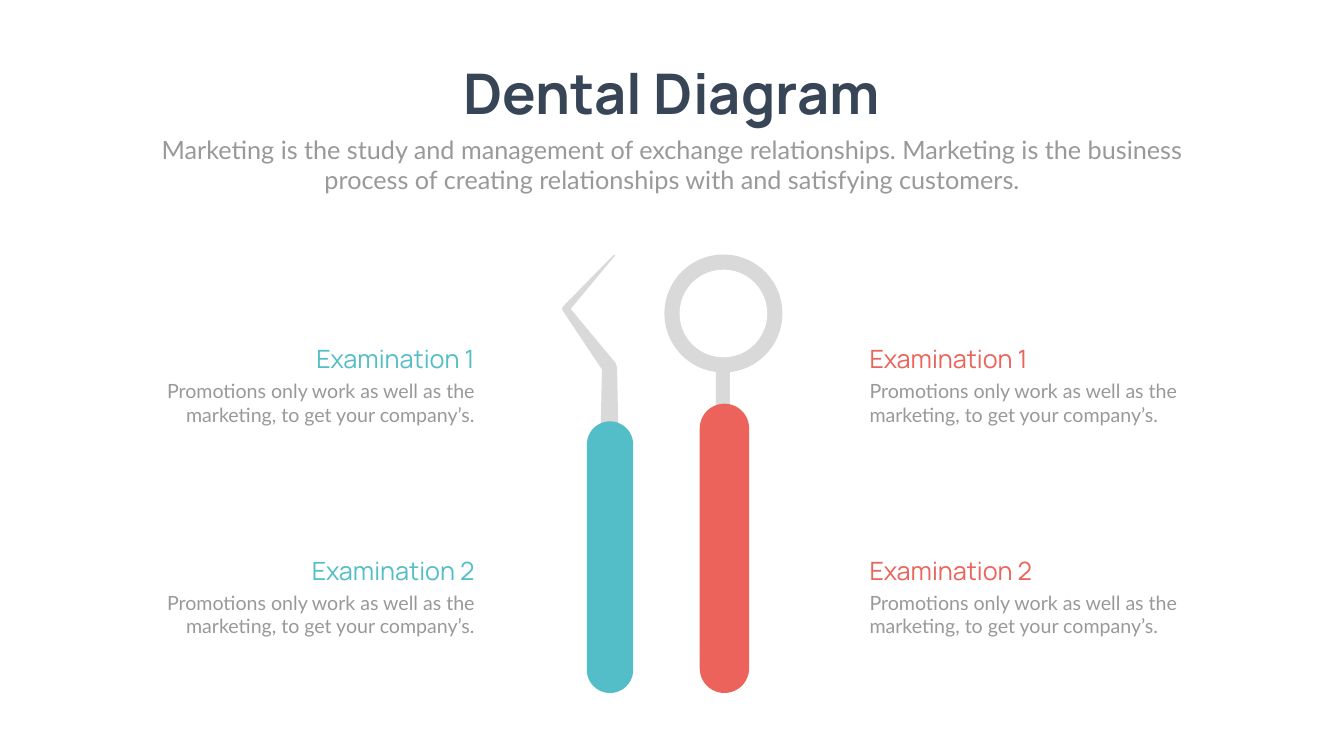
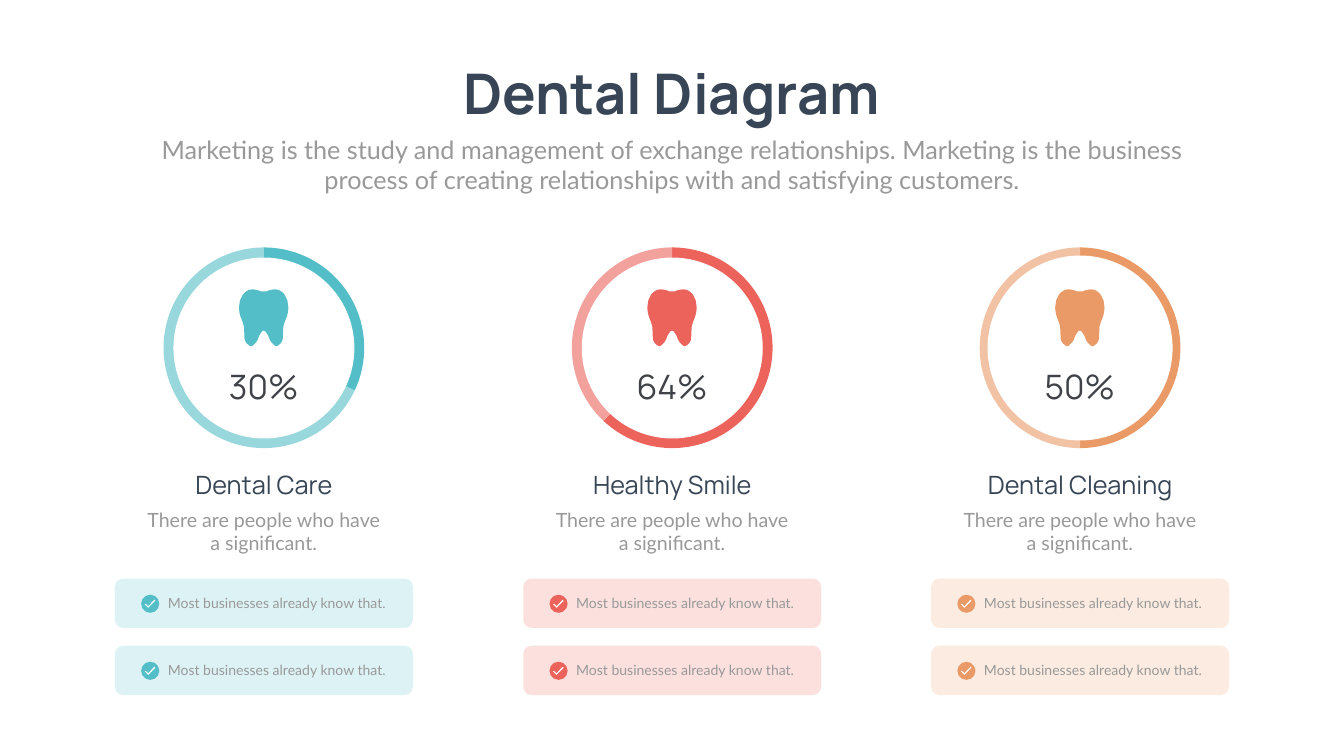
from dataclasses import dataclass

from pptx import Presentation
from pptx.chart.data import CategoryChartData
from pptx.dml.color import RGBColor
from pptx.enum.chart import XL_CHART_TYPE
from pptx.enum.shapes import MSO_SHAPE
from pptx.enum.text import MSO_ANCHOR, MSO_AUTO_SIZE, PP_ALIGN
from pptx.oxml import parse_xml
from pptx.oxml.ns import nsdecls
from pptx.util import Emu, Pt

SCALE = 9144  # EMU in one px (100 px to the inch)


@dataclass(frozen=True)
class Theme:
    paper: str = "FEFFFE"
    white: str = "FFFFFF"
    ink: str = "374556"
    figure_ink: str = "3F4347"
    muted: str = "999999"
    steel: str = "D9D9D9"
    series: str = "D9DDE0"
    # each accent: full, light for the ring, pale for the pills
    teal: tuple = ("53BEC7", "98D8DD", "DDF2F4")
    red: tuple = ("EB635B", "F3A19D", "FBE0DE")
    orange: tuple = ("EA9A67", "F2C2A4", "FBEBE1")
    head_font: str = "Manrope"
    body_font: str = "Lato"
    chart_font: str = "Calibri"
    title_size: int = 80
    figure_size: int = 48
    heading_size: int = 36
    body_size: int = 28
    note_size: int = 20
    chart_size: int = 10


THEME = Theme()

TITLE = "Dental Diagram"
SUBTITLE = ("Marketing is the study and management of exchange relationships. "
            "Marketing is the business process of creating relationships with "
            "and satisfying customers.")
EXAMINATION = "Promotions only work as well as the marketing, to get your company’s."
CAPTION = "There are people who have a significant."
NOTE = "Most businesses already know that."

PROBE_TIP = [(109, 224), (106, 215), (17, 108), (105, 2), (103, 0), (2, 103),
             (0, 107), (1, 111), (79, 228), (76, 374), (94, 372), (112, 374)]
CHECK = [(14, 23), (9, 18), (7, 19), (14, 26), (28, 12), (26, 10)]

# Right half of the tooth outline, measured from its axis
TOOTH_HALF = [(0, 4), (6, 4), (11, 2), (16, 1), (21, 0), (29, 1), (36, 5),
              (41, 10), (47, 22), (49, 37), (48, 46), (46, 54), (42, 64),
              (39, 74), (38, 97), (37, 102), (34, 107), (28, 112), (24, 113),
              (21, 111), (15, 105), (12, 100), (9, 92), (3, 83), (0, 82)]
TOOTH = TOOTH_HALF + [(-x, y) for x, y in reversed(TOOTH_HALF[1:-1])]


def px(value):
    return Emu(round(value * SCALE))


def color(code):
    return RGBColor.from_string(code)


def paint(shape, code):
    shape.shadow.inherit = False
    shape.fill.solid()
    shape.fill.fore_color.rgb = color(code)
    shape.line.fill.background()


def add_block(page, kind, box, code, corner=None):
    shape = page.shapes.add_shape(kind, *map(px, box))
    paint(shape, code)
    if corner is not None:
        shape.adjustments[0] = corner
    return shape


def add_outline(page, left, top, points, code):
    spots = [(px(left + x), px(top + y)) for x, y in points]
    builder = page.shapes.build_freeform(*spots[0])
    builder.add_line_segments(spots[1:], close=True)
    paint(builder.convert_to_shape(), code)


def write(shape, text, font, size, code, align, bold=False, wrap=True):
    frame = shape.text_frame
    frame.word_wrap = wrap
    frame.auto_size = MSO_AUTO_SIZE.SHAPE_TO_FIT_TEXT
    frame.vertical_anchor = MSO_ANCHOR.TOP
    para = frame.paragraphs[0]
    para.alignment = align
    span = para.add_run()
    span.text = text
    span.font.name = font
    span.font.size = Pt(size)
    span.font.bold = bold
    span.font.color.rgb = color(code)
    return frame


def add_text(page, box, text, font, size, code, align=PP_ALIGN.CENTER):
    shape = page.shapes.add_textbox(*map(px, box))
    return write(shape, text, font, size, code, align)


def add_page(deck):
    """Title-only page with the shared title and subtitle."""
    page = deck.slides.add_slide(deck.slide_layouts[5])
    title = page.shapes.title
    title.left, title.top, title.width, title.height = map(px, (865, 112, 935, 145))
    write(title, TITLE, THEME.head_font, THEME.title_size, THEME.ink,
          PP_ALIGN.CENTER, bold=True, wrap=False)
    add_text(page, (292, 261, 2082, 131), SUBTITLE, THEME.body_font,
             THEME.heading_size, THEME.muted)
    return page


def add_examination(page, box, heading, code, align):
    left, top, width, _ = box
    head_width = 499
    indent = width - head_width if align == PP_ALIGN.RIGHT else 0
    add_text(page, (left + indent, top, head_width, 71), heading,
             THEME.head_font, THEME.heading_size, code, align)
    add_text(page, (left, top + 70, width, 104), EXAMINATION,
             THEME.body_font, THEME.body_size, THEME.muted, align)


def add_probe(page, left, top):
    add_outline(page, left, top, PROBE_TIP, THEME.steel)
    add_block(page, MSO_SHAPE.ROUNDED_RECTANGLE, (left + 49, top + 331, 92, 539),
              THEME.teal[0], corner=0.5)


def add_mirror(page, left, top):
    add_block(page, MSO_SHAPE.RECTANGLE, (left + 102, top + 124, 28, 292), THEME.steel)
    add_block(page, MSO_SHAPE.OVAL, (left, top, 234, 234), THEME.steel)
    add_block(page, MSO_SHAPE.OVAL, (left + 30, top + 30, 174, 174), THEME.white)
    add_block(page, MSO_SHAPE.ROUNDED_RECTANGLE, (left + 70, top + 296, 98, 574),
              THEME.red[0], corner=0.5)


def add_pie(page, box, share, accent):
    data = CategoryChartData()
    data.categories = ["1", "2"]
    data.add_series("Series 1", (share, 100 - share))
    chart = page.shapes.add_chart(XL_CHART_TYPE.PIE, *map(px, box), data).chart
    chart.has_title = False
    chart.has_legend = False
    chart.font.name = THEME.chart_font
    chart.font.size = Pt(THEME.chart_size)
    chart.font.color.rgb = color(THEME.muted)
    plot = chart.plots[0]
    plot.vary_by_categories = False
    series = plot.series[0]
    series.format.fill.solid()
    series.format.fill.fore_color.rgb = color(THEME.series)
    for index, code in enumerate(accent[:2]):
        look = series.points[index].format
        look.fill.solid()
        look.fill.fore_color.rgb = color(code)
        look.line.fill.background()
    # Let the pie fill its frame
    area = chart.element.xpath("c:chart/c:plotArea")[0]
    for old in area.xpath("c:layout"):
        area.remove(old)
    edges = "".join(f'<c:{tag} val="{value}"/>' for tag, value in (
        ("layoutTarget", "inner"), ("xMode", "edge"), ("yMode", "edge"),
        ("x", 0.005), ("y", 0.005), ("w", 0.99), ("h", 0.988)))
    area.insert(0, parse_xml(f'<c:layout {nsdecls("c")}><c:manualLayout>{edges}'
                             '</c:manualLayout></c:layout>'))


def add_pill(page, box, accent):
    left, top, _, _ = box
    add_block(page, MSO_SHAPE.ROUNDED_RECTANGLE, box, accent[2])
    badge_left, badge_top = left + 52, top + 32
    add_block(page, MSO_SHAPE.OVAL, (badge_left, badge_top, 36, 36), accent[0])
    add_outline(page, badge_left, badge_top, CHECK, THEME.white)
    add_text(page, (left + 95, top + 27, 500, 44), NOTE, THEME.body_font,
             THEME.note_size, THEME.muted, PP_ALIGN.LEFT)


def add_column(page, box, name, figure, share, rim, accent):
    left, top, width, _ = box

    def centred(offset, part_width, height):
        return left + (width - part_width) // 2, top + offset, part_width, height

    # Ring: pie with a white disc over it
    ring, disc = 403, 403 - 2 * rim
    add_pie(page, centred(0, ring, ring), share, accent)
    add_block(page, MSO_SHAPE.OVAL, centred(rim, disc, disc), THEME.white)
    add_outline(page, left + width // 2, top + 85, TOOTH, accent[0])
    frame = add_text(page, centred(230, 328, 92), figure, THEME.head_font,
                     THEME.figure_size, THEME.figure_ink)
    frame.vertical_anchor = MSO_ANCHOR.MIDDLE
    frame.margin_left = frame.margin_right = px(6)
    frame.margin_top = frame.margin_bottom = px(6)

    # Heading, caption and pills
    add_text(page, centred(437, width, 71), name, THEME.head_font,
             THEME.heading_size, THEME.ink)
    add_text(page, centred(513, 492, 104), CAPTION, THEME.body_font,
             THEME.body_size, THEME.muted)
    for row in range(2):
        add_pill(page, centred(659 + 133 * row, 591, 98), accent)


def build_instruments(deck):
    page = add_page(deck)
    sides = ((292, THEME.teal, PP_ALIGN.RIGHT), (1715, THEME.red, PP_ALIGN.LEFT))
    for left, accent, align in sides:
        for row in range(2):
            add_examination(page, (left, 677 + 420 * row, 659, 174),
                            f"Examination {row + 1}", accent[0], align)
    add_probe(page, 1115, 505)
    add_mirror(page, 1318, 505)


def build_rings(deck):
    page = add_page(deck)
    columns = (
        (192, "Dental Care", "30%", 32, 22, THEME.teal),
        (1002, "Healthy Smile", "64%", 62, 22, THEME.red),
        (1811, "Dental Cleaning", "50%", 50, 18, THEME.orange),
    )
    for left, *details in columns:
        add_column(page, (left, 489, 663, 890), *details)


def main():
    deck = Presentation()
    deck.slide_width, deck.slide_height = px(2666), px(1500)
    backdrop = deck.slide_master.background.fill
    backdrop.solid()
    backdrop.fore_color.rgb = color(THEME.paper)
    build_instruments(deck)
    build_rings(deck)
    deck.save("out.pptx")


if __name__ == "__main__":
    main()
